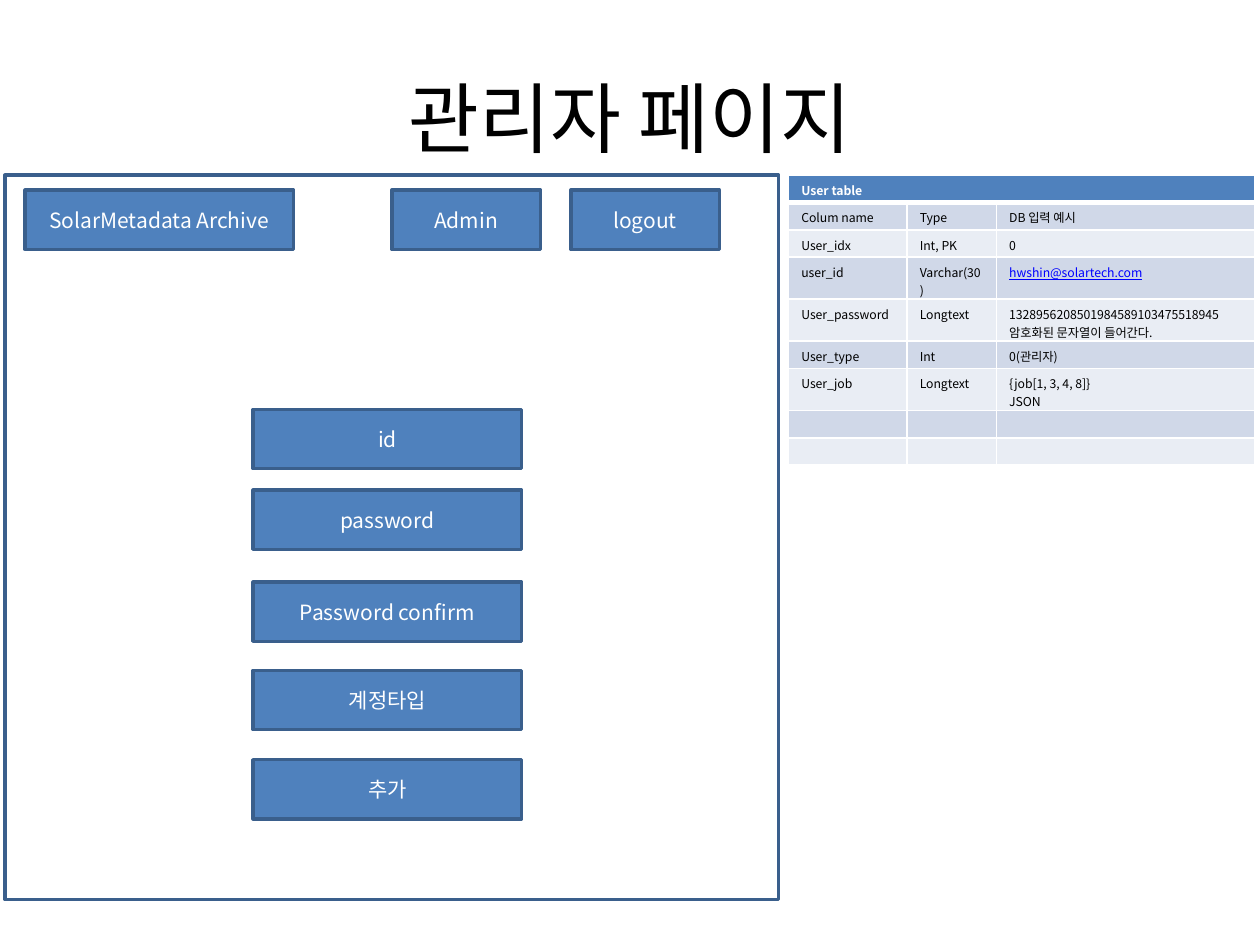
from lxml import etree
from pptx import Presentation
from pptx import util as u
from pptx.dml import color
from pptx.enum import shapes, text
from pptx.oxml import ns

FONT = "Noto Sans CJK KR"
COLORS = {
    "black": "000000", "white": "FFFFFF", "blue": "4F81BD", "outline": "3A5F8C",
    "band_dark": "D0D8E8", "band_light": "E9EDF4", "email": "0000FF",
}


def rgb(name):
    return color.RGBColor.from_string(COLORS[name])


def write_text(frame, content, size, ink="black", bold=False, underline=False,
               align=text.PP_ALIGN.LEFT, anchor=text.MSO_ANCHOR.TOP):
    frame.word_wrap = True
    frame.vertical_anchor = anchor
    for index, line in enumerate(content.split("\n")):
        paragraph = frame.paragraphs[0] if index == 0 else frame.add_paragraph()
        paragraph.alignment = align
        if not line:
            # An empty cell keeps its row height through the end mark
            end_mark = etree.SubElement(paragraph._p, ns.qn("a:endParaRPr"))
            end_mark.set("sz", str(size * 100))
            continue
        run = paragraph.add_run()
        run.text = line
        run.font.name = FONT
        run.font.size = u.Pt(size)
        run.font.bold = bold
        run.font.underline = underline
        run.font.color.rgb = rgb(ink)
        east_asian = etree.SubElement(run._r.rPr, ns.qn("a:ea"))
        east_asian.set("typeface", FONT)


presentation = Presentation()
presentation.slide_width = u.Inches(10)
presentation.slide_height = u.Inches(7.5)
slide = presentation.slides.add_slide(presentation.slide_layouts[6])

# Title
title = slide.shapes.add_textbox(u.Inches(0.5), u.Inches(0.3), u.Inches(9), u.Inches(1.25))
write_text(title.text_frame, "관리자 페이지", 44,
           align=text.PP_ALIGN.CENTER, anchor=text.MSO_ANCHOR.MIDDLE)

# Page frame, header buttons and form fields: label, left, top, width, height
button_height = 0.47
boxes = [("", 0.04, 1.39, 6.14, 5.75)]
for label, left, width in [("SolarMetadata Archive", 0.2, 2.13),
                           ("Admin", 3.11, 1.18), ("logout", 4.53, 1.18)]:
    boxes.append((label, left, 1.51, width, button_height))
for label, top in [("id", 3.25), ("password", 3.89), ("Password confirm", 4.62),
                   ("계정타입", 5.32), ("추가", 6.03)]:
    boxes.append((label, 2.01, top, 2.13, button_height))

for label, *position in boxes:
    shape = slide.shapes.add_shape(shapes.MSO_SHAPE.RECTANGLE, *map(u.Inches, position))
    shape.shadow.inherit = False
    shape.line.color.rgb = rgb("outline")
    shape.line.width = u.Pt(2)
    if label:
        shape.fill.solid()
        shape.fill.fore_color.rgb = rgb("blue")
        write_text(shape.text_frame, label, 12, ink="white",
                   align=text.PP_ALIGN.CENTER, anchor=text.MSO_ANCHOR.MIDDLE)
    else:
        shape.fill.background()

# User table
email = "hwshin@solartech.com"
rows = [
    ("User table", "", ""),
    ("Colum name", "Type", "DB 입력 예시"),
    ("User_idx", "Int, PK", "0"),
    ("user_id", "Varchar(30)", email),
    ("User_password", "Longtext", "1328956208501984589103475518945\n암호화된 문자열이 들어간다."),
    ("User_type", "Int", "0(관리자)"),
    ("User_job", "Longtext", "{job[1, 3, 4, 8]}\nJSON"),
    ("", "", ""),
    ("", "", ""),
]
table_frame = slide.shapes.add_table(len(rows), 3, u.Inches(6.26), u.Inches(1.39),
                                     u.Inches(3.7), u.Inches(2.18))
table = table_frame.table
for column, width in zip(table.columns, (0.94, 0.71, 2.05)):
    column.width = u.Inches(width)

for row_index, values in enumerate(rows):
    header = row_index == 0
    two_lines = any("\n" in value for value in values)
    table.rows[row_index].height = u.Inches(0.25 if two_lines else 0.16)
    band = "blue" if header else ("band_dark" if row_index % 2 else "band_light")
    for column_index, value in enumerate(values):
        cell = table.cell(row_index, column_index)
        # White borders, thicker below the header
        properties = cell._tc.get_or_add_tcPr()
        for side in ("lnL", "lnR", "lnT", "lnB"):
            thick = (header and side == "lnB") or (row_index == 1 and side == "lnT")
            border = etree.SubElement(properties, ns.qn("a:" + side))
            border.set("w", str(u.Pt(3 if thick else 1)))
            border_fill = etree.SubElement(border, ns.qn("a:solidFill"))
            etree.SubElement(border_fill, ns.qn("a:srgbClr")).set("val", COLORS["white"])
        cell.fill.solid()
        cell.fill.fore_color.rgb = rgb(band)
        ink = "white" if header else ("email" if value == email else "black")
        write_text(cell.text_frame, value, 7, ink=ink, bold=header, underline=value == email)
table.cell(0, 0).merge(table.cell(0, 2))
table_frame.height = u.Inches(2.18)

presentation.save("out.pptx")
